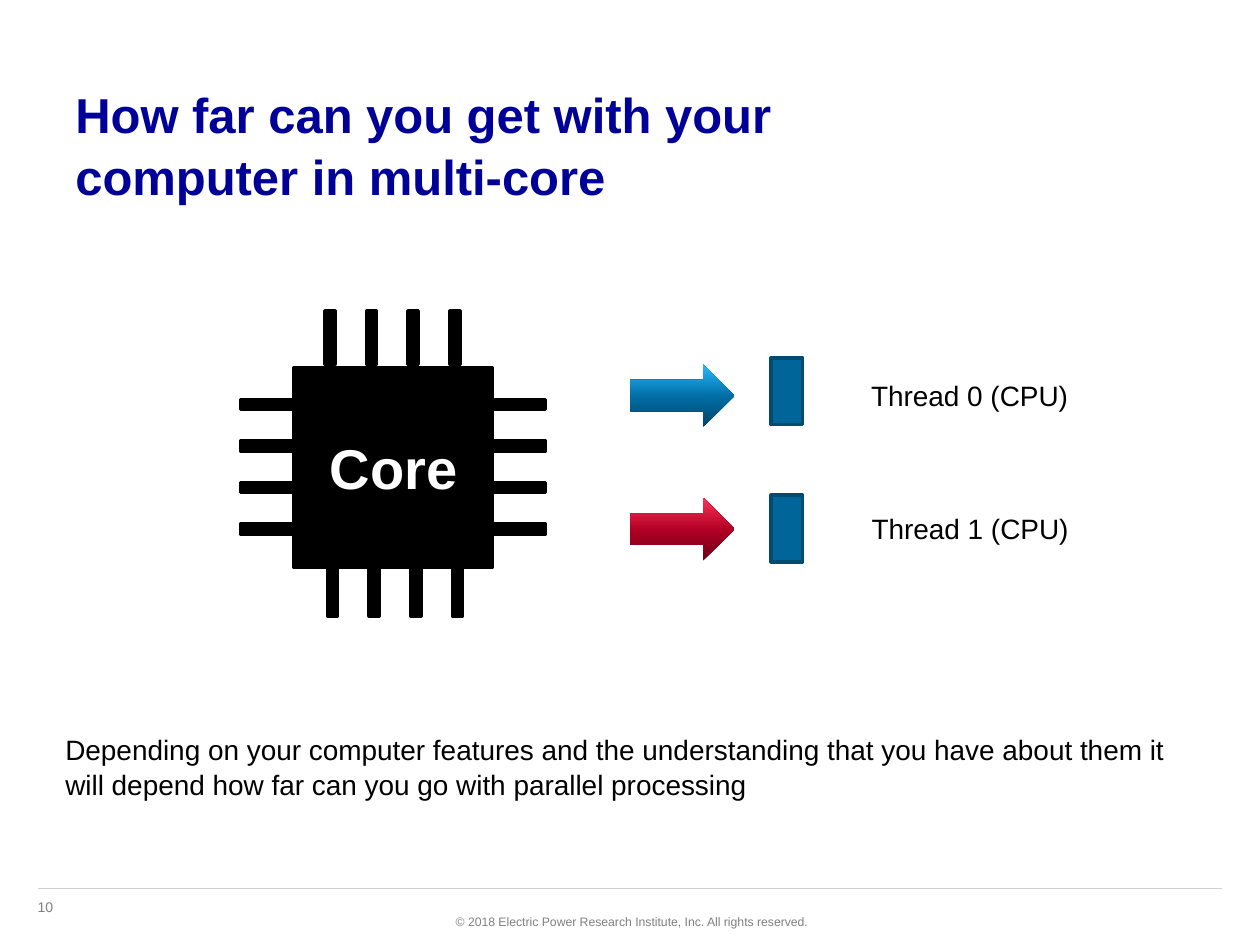
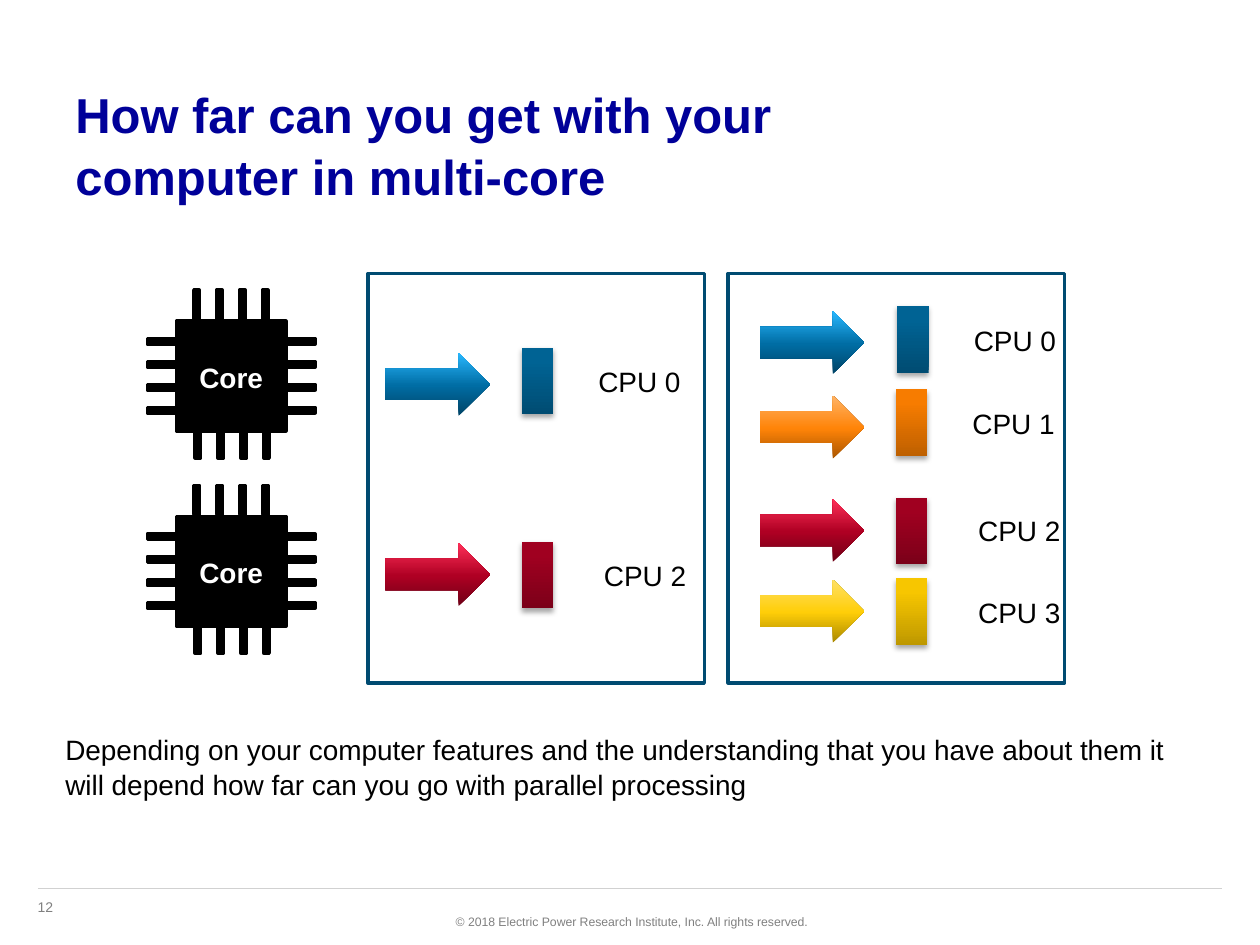
from dataclasses import dataclass
from typing import Optional

from lxml.etree import SubElement
from pptx import Presentation
from pptx.dml.color import RGBColor
from pptx.enum.shapes import MSO_CONNECTOR, MSO_SHAPE
from pptx.enum.text import MSO_ANCHOR, PP_ALIGN
from pptx.oxml.ns import qn
from pptx.util import Inches, Pt


@dataclass(frozen=True)
class Theme:
    font: str = "Arial"
    title: str = "000099"
    ink: str = "000000"
    paper: str = "FFFFFF"
    muted: str = "808080"
    rule: str = "D1D1D1"
    bar: str = "006699"
    outline: str = "004B71"
    title_size: float = 28
    body_size: float = 16
    chip_size: float = 32
    number_size: float = 8
    copyright_size: float = 7
    outline_width: float = 2
    line_spacing: float = 1.05


@dataclass(frozen=True)
class Tone:
    """Gradient colours from bottom to top of an arrow and of a bar."""
    arrow: tuple[str, str, str]
    bar: tuple[str, str, str]


@dataclass(frozen=True)
class Box:
    left: float
    top: float
    width: float
    height: float

    def lengths(self) -> tuple:
        return tuple(Inches(v) for v in (self.left, self.top, self.width, self.height))


@dataclass(frozen=True)
class Chip:
    left: float
    top: float
    size: float
    label: Box
    label_size: float


@dataclass(frozen=True)
class Lane:
    label: str
    tone: Tone
    arrow_top: float
    bar_left: float
    bar_top: float
    label_left: float
    label_top: float
    label_width: float


THEME = Theme()
BLUE = Tone(("004467", "006DA4", "29B8FF"), ("004C72", "006394", "006395"))
RED = Tone(("6F0016", "AF0023", "FF3059"), ("7B0019", "A00020", "A10020"))
ORANGE = Tone(("AB5600", "FF8408", "FFB366"), ("BE6000", "F77C00", "F87D00"))
YELLOW = Tone(("AB8900", "FFCE08", "FFE066"), ("BE9800", "F7C600", "F8C700"))
ARROW_MIDDLE, BAR_MIDDLE = 48, 80

TITLE = "How far can you get with your\ncomputer in multi-core"
SUMMARY = ("Depending on your computer features and the understanding that you have "
           "about them it will depend how far can you go with parallel processing")
COPYRIGHT = "© 2018 Electric Power Research Institute, Inc. All rights reserved."

SINGLE_CHIP = Chip(2.33, 2.92, 1.58, Box(2.48, 3.39, 1.29, 0.64), THEME.chip_size)
CHIP_PAIR = [Chip(1.4, top, 0.87, Box(1.48, top + 0.26, 0.71, 0.21), THEME.body_size)
             for top in (2.55, 4.1)]
THREADS = [
    Lane("Thread 0 (CPU)", BLUE, 2.89, 6.12, 2.84, 6.64, 2.94, 2.11),
    Lane("Thread 1 (CPU)", RED, 3.95, 6.12, 3.93, 6.57, 3.99, 2.26),
]
PHYSICAL_CORES = [
    Lane("CPU 0", BLUE, 2.8, 4.14, 2.76, 4.44, 2.83, 1.27),
    Lane("CPU 2", RED, 4.31, 4.14, 4.3, 4.45, 4.37, 1.34),
]
LOGICAL_CORES = [
    Lane("CPU 0", BLUE, 2.47, 7.12, 2.43, 7.42, 2.5, 1.27),
    Lane("CPU 1", ORANGE, 3.14, 7.11, 3.09, 7.41, 3.16, 1.27),
    Lane("CPU 2", RED, 3.96, 7.11, 3.95, 7.42, 4.01, 1.34),
    Lane("CPU 3", YELLOW, 4.6, 7.11, 4.59, 7.42, 4.66, 1.34),
]


def color(value: str) -> RGBColor:
    return RGBColor.from_string(value)


def add_text(shapes, box: Box, text: str, size: float, ink: str = THEME.ink,
             bold: bool = False, align=PP_ALIGN.LEFT, anchor=MSO_ANCHOR.TOP,
             wrap: bool = True, spacing: float = 1.0) -> None:
    frame = shapes.add_textbox(*box.lengths()).text_frame
    frame.word_wrap = wrap
    frame.vertical_anchor = anchor
    para = frame.paragraphs[0]
    para.text = text
    para.alignment = align
    para.line_spacing = spacing
    for span in para.runs:
        span.font.name = THEME.font
        span.font.size = Pt(size)
        span.font.bold = bold
        span.font.color.rgb = color(ink)


def add_block(shapes, box: Box, fill: Optional[str] = None, line: Optional[str] = None,
              kind=MSO_SHAPE.RECTANGLE):
    block = shapes.add_shape(kind, *box.lengths())
    block.shadow.inherit = False
    if fill:
        block.fill.solid()
        block.fill.fore_color.rgb = color(fill)
    else:
        block.fill.background()
    if line:
        block.line.color.rgb = color(line)
        block.line.width = Pt(THEME.outline_width)
    else:
        block.line.fill.background()
    return block


def set_gradient(block, colors: tuple[str, str, str], middle: int) -> None:
    """Blend three colours upwards, the second one at the middle percentage."""
    block.fill.gradient()
    gradient = block._element.spPr.find(qn("a:gradFill"))
    for child in list(gradient):
        gradient.remove(child)
    stops = SubElement(gradient, qn("a:gsLst"))
    for position, value in zip((0, middle, 100), colors):
        stop = SubElement(stops, qn("a:gs"), pos=str(position * 1000))
        SubElement(stop, qn("a:srgbClr"), val=value)
    SubElement(gradient, qn("a:lin"), ang="16200000", scaled="0")


def set_soft_shadow(block) -> None:
    effects = block._element.spPr.find(qn("a:effectLst"))
    shadow = SubElement(effects, qn("a:outerShdw"), blurRad=str(Pt(3.1)),
                        dist=str(Pt(1.8)), dir="5400000", rotWithShape="0")
    shade = SubElement(shadow, qn("a:srgbClr"), val=THEME.ink)
    SubElement(shade, qn("a:alpha"), val="35000")


def add_chip(page, chip: Chip) -> None:
    """Draw a square core with four pins on each side, all in proportion to its size."""
    shapes = page.shapes.add_group_shape().shapes
    scale = chip.size / SINGLE_CHIP.size
    long, thick, pitch = 0.42 * scale, 0.08 * scale, 0.33 * scale

    def add_part(x: float, y: float, width: float, height: float) -> None:
        box = Box(chip.left + x, chip.top + y, width, height)
        add_block(shapes, box, THEME.ink, THEME.ink)

    add_part(0, 0, chip.size, chip.size)
    for index in range(4):
        along = 0.25 * scale + index * pitch
        shifted = along + 0.02 * scale
        add_part(along, -0.45 * scale, thick, long)
        add_part(shifted, 1.55 * scale, thick, long)
        add_part(-long, along, long, thick)
        add_part(chip.size, along, long, thick)
    add_text(shapes, chip.label, "Core", chip.label_size, THEME.paper, True, PP_ALIGN.CENTER)


def add_lanes(page, lanes: list[Lane], arrow_left: float, shaded: bool) -> None:
    """Draw arrow, bar and label of each lane; shaded bars take the lane's tone."""
    for lane in lanes:
        arrow = add_block(page.shapes, Box(arrow_left, lane.arrow_top, 0.83, 0.5),
                          kind=MSO_SHAPE.RIGHT_ARROW)
        set_gradient(arrow, lane.tone.arrow, ARROW_MIDDLE)
        bar_box = Box(lane.bar_left, lane.bar_top, 0.25, 0.53)
        if shaded:
            bar = add_block(page.shapes, bar_box)
            set_gradient(bar, lane.tone.bar, BAR_MIDDLE)
            set_soft_shadow(bar)
        else:
            add_block(page.shapes, bar_box, THEME.bar, THEME.outline)
        add_text(page.shapes, Box(lane.label_left, lane.label_top, lane.label_width, 0.4),
                 lane.label, THEME.body_size, align=PP_ALIGN.CENTER, anchor=MSO_ANCHOR.MIDDLE)


def add_page(deck, number: int):
    """Add a page with the shared title, summary and footer."""
    page = deck.slides.add_slide(deck.slide_layouts[6])
    shapes = page.shapes
    add_text(shapes, Box(0.2, 7.08, 0.66, 0.24), str(number), THEME.number_size, THEME.muted,
             anchor=MSO_ANCHOR.MIDDLE)
    rule = shapes.add_connector(MSO_CONNECTOR.STRAIGHT, Inches(0.3), Inches(7.05),
                                Inches(9.7), Inches(7.05))
    rule.line.color.rgb = color(THEME.rule)
    rule.line.width = Pt(0.75)
    SubElement(rule._element.spPr, qn("a:effectLst"))
    add_text(shapes, Box(3.49, 7.2, 3.02, 0.22), COPYRIGHT, THEME.copyright_size, THEME.muted,
             align=PP_ALIGN.RIGHT, anchor=MSO_ANCHOR.MIDDLE, wrap=False)
    add_text(shapes, Box(0.42, 5.75, 9.16, 0.91), SUMMARY, THEME.body_size,
             spacing=THEME.line_spacing)
    add_text(shapes, Box(0.5, 0.6, 9, 1.25), TITLE, THEME.title_size, THEME.title, True,
             spacing=THEME.line_spacing)
    return page


def add_single_core_page(deck) -> None:
    page = add_page(deck, 10)
    add_chip(page, SINGLE_CHIP)
    add_lanes(page, THREADS, 5, shaded=False)


def add_dual_core_page(deck) -> None:
    page = add_page(deck, 12)
    for chip in CHIP_PAIR:
        add_chip(page, chip)
    for panel_left in (2.92, 5.78):
        add_block(page.shapes, Box(panel_left, 2.17, 2.67, 3.25), line=THEME.outline)
    add_lanes(page, PHYSICAL_CORES, 3.06, shaded=True)
    add_lanes(page, LOGICAL_CORES, 6.03, shaded=True)


def main() -> None:
    deck = Presentation()
    deck.slide_width, deck.slide_height = Inches(10), Inches(7.5)
    add_single_core_page(deck)
    add_dual_core_page(deck)
    deck.save("out.pptx")


if __name__ == "__main__":
    main()
